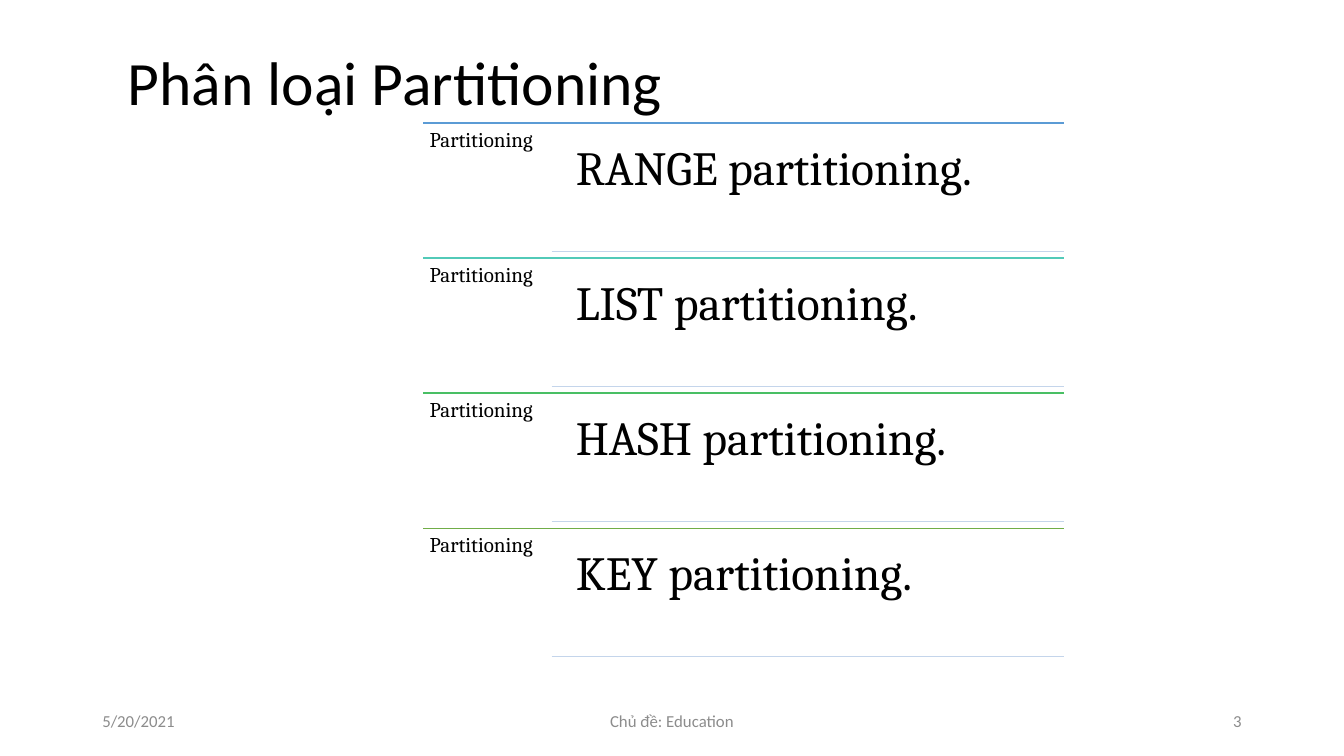
from lxml.etree import SubElement
from pptx import Presentation
from pptx.dml.color import RGBColor as RGB
from pptx.enum.shapes import MSO_CONNECTOR as Link
from pptx.enum.text import MSO_ANCHOR as Anchor, MSO_AUTO_SIZE as Fit, PP_ALIGN as Align
from pptx.oxml.ns import qn
from pptx.util import Pt

BLACK = RGB(0x00, 0x00, 0x00)
GRAY = RGB(0x8C, 0x8C, 0x8C)
PALE = RGB(0xC4, 0xD5, 0xEB)
BLUE = RGB(0x5B, 0x9B, 0xD5)
TEAL = RGB(0x52, 0xCA, 0xB8)
GREEN = RGB(0x49, 0xBF, 0x64)
OLIVE = RGB(0x70, 0xAD, 0x47)

TITLE = "Phân loại Partitioning"
LABEL = "Partitioning"
KINDS = [
    ("RANGE partitioning.", BLUE),
    ("LIST partitioning.", TEAL),
    ("HASH partitioning.", GREEN),
    ("KEY partitioning.", OLIVE),
]
FOOTER = [
    ("5/20/2021", 66, 216, Align.LEFT),
    ("Chủ đề: Education", 318, 324, Align.CENTER),
    ("3", 678, 216, Align.RIGHT),
]

LEFT, MID, RIGHT = 302.4, 394, 760.3
TOP, STEP = 87.8, 96.5
GAP, DROP = 4.8, 91.7
INDENT = 7.2

deck = Presentation()
deck.slide_width, deck.slide_height = Pt(960), Pt(540)
slide = deck.slides.add_slide(deck.slide_layouts[5])


def write(text, box, size, shape=None, font="Cambria", color=BLACK, pad=(7.2, 3.6),
          align=Align.LEFT, anchor=Anchor.TOP, space=0.9):
    left, top, width, height = map(Pt, box)
    if shape is None:
        shape = slide.shapes.add_textbox(left, top, width, height)
    else:
        shape.left, shape.top, shape.width, shape.height = left, top, width, height
    frame = shape.text_frame
    frame.word_wrap = True
    frame.auto_size = Fit.NONE
    frame.vertical_anchor = anchor
    frame.margin_left = frame.margin_right = Pt(pad[0])
    frame.margin_top = frame.margin_bottom = Pt(pad[1])
    para = frame.paragraphs[0]
    para.alignment = align
    para.line_spacing = space
    run = para.add_run()
    run.text = text
    run.font.name, run.font.size = font, Pt(size)
    run.font.color.rgb = color


def rule(left, y, color):
    line = slide.shapes.add_connector(Link.STRAIGHT, Pt(left), Pt(y), Pt(RIGHT), Pt(y))
    line.line.color.rgb = color
    line.line.width = Pt(1)
    SubElement(line._element.spPr, qn("a:effectLst"))


write(TITLE, (84, 34, 437, 88), 44, shape=slide.shapes.title, font="Calibri")

for row, (kind, color) in enumerate(KINDS):
    y = TOP + row * STEP
    rule(LEFT, y, color)
    write(LABEL, (LEFT, y, MID - LEFT, STEP), 15, pad=(4.5, 4.5))
    start = MID + INDENT
    write(kind, (start, y + GAP, RIGHT - start, 87.6), 34, pad=(10.2, 10.2))
    rule(MID, y + DROP, PALE)

for text, left, width, align in FOOTER:
    write(text, (left, 500.5, width, 28.75), 12, font="Calibri", color=GRAY,
          align=align, anchor=Anchor.MIDDLE, space=1.0)

deck.save("out.pptx")
